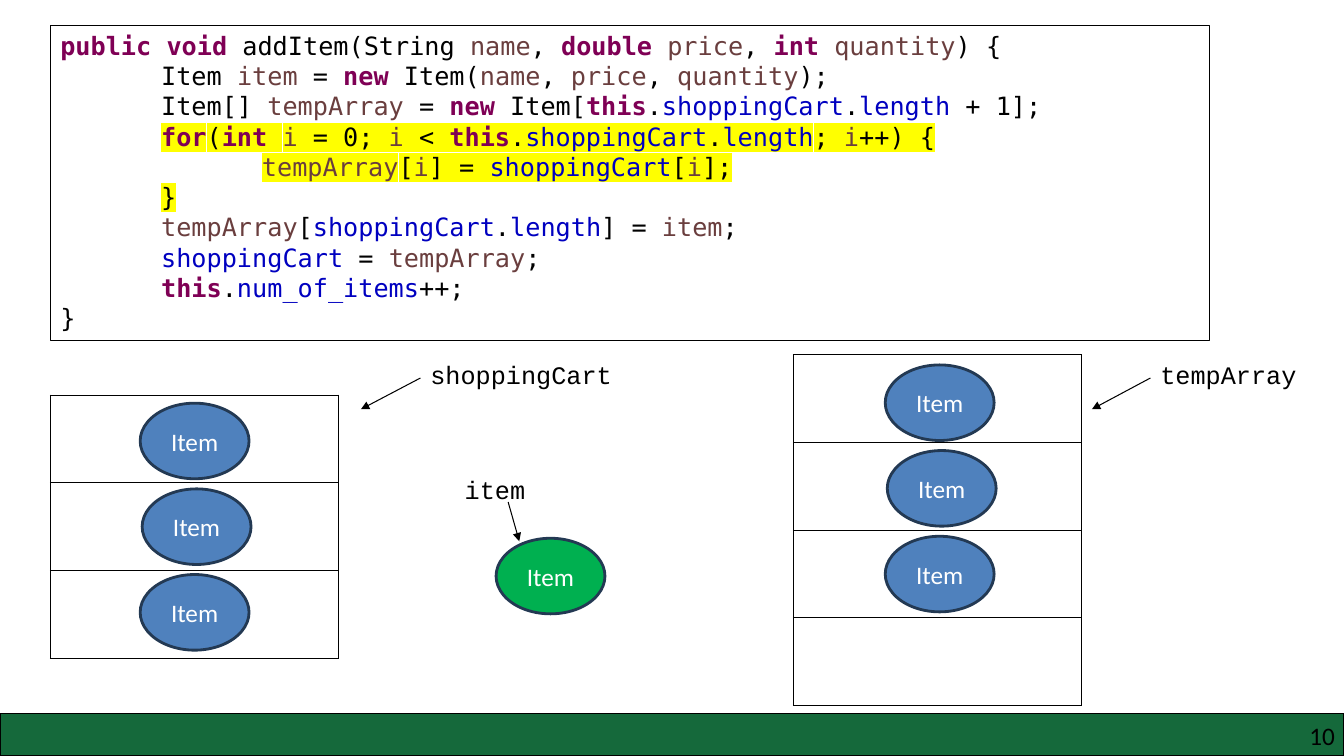
"""Build the slide on copying a shopping cart into a longer array."""
from itertools import groupby

from lxml import etree
from pptx import Presentation
from pptx import util as u
from pptx.dml.color import RGBColor
from pptx.enum import shapes, text
from pptx.oxml import ns

THEME = {
    "code_font": "DejaVu Sans Mono", "label_font": "Courier New", "body_font": "Calibri",
    "size": 18, "code_leading": 21.6, "thin": 0.75, "grid": 1, "outline": 2,
    "black": "000000", "white": "FFFFFF", "keyword": "7F0055", "local": "6A3E3E",
    "field": "0000C0", "highlight": "FFFF00", "bar": "15693B",
    "item": "4F81BD", "new_item": "00B050", "item_edge": "233953",
}
PX = 9144
SLIDE = (1333, 750)

CODE = [
    "public void addItem(String name, double price, int quantity) {",
    "\tItem item = new Item(name, price, quantity);",
    "\tItem[] tempArray = new Item[this.shoppingCart.length + 1];",
    "\tfor(int i = 0; i < this.shoppingCart.length; i++) {",
    "\t\ttempArray[i] = shoppingCart[i];",
    "\t}",
    "\ttempArray[shoppingCart.length] = item;",
    "\tshoppingCart = tempArray;",
    "\tthis.num_of_items++;",
    "}",
]
HIGHLIGHTED_LINES = range(3, 6)
WORD_ROLES = {
    "keyword": "public void double int new for this".split(),
    "local": "name price quantity item tempArray i".split(),
    "field": "shoppingCart length num_of_items".split(),
}
ROLE_OF = {word: role for role, words in WORD_ROLES.items() for word in words}
CODE_BOX = (50, 25, 1150, 313)
TAB_STOPS = (100, 200)

ARRAYS = [
    {"corner": (50, 392), "cells": 3, "first_item": (139, 400)},
    {"corner": (787, 352), "cells": 4, "first_item": (878, 362)},
]
CELL = (286, 87)
ITEM_SIZE = (108, 75)
ITEM_STEP = 85
ITEM_NUDGES = (0, 2, 0)
ITEM_TEXT = "Item"
NEW_ITEM = (492, 534)
LABELS = [
    ("shoppingCart", (417, 352, 201, 40), (417, 375, 358, 406)),
    ("item", (451, 466, 81, 40), (504, 498, 515, 537)),
    ("tempArray", (1141, 352, 156, 40), (1141, 375, 1083, 406)),
]
BAR = (0, 708, 1333, 42)
PAGE_NUMBER = ("10", (1017, 715, 307, 30))


def emu(lengths):
    return [length * PX for length in lengths]


def colour(name):
    return RGBColor.from_string(THEME[name])


def add_run(paragraph, words, font, role="black", bold=False):
    run = paragraph.add_run()
    run.text = words
    run.font.name = THEME[font]
    run.font.size = u.Pt(THEME["size"])
    run.font.bold = bold
    run.font.color.rgb = colour(role)
    return run


def set_line(line, role, width):
    line.color.rgb = colour(role)
    line.width = u.Pt(THEME[width])


def highlight(run):
    mark = etree.Element(ns.qn("a:highlight"))
    etree.SubElement(mark, ns.qn("a:srgbClr"), val=THEME["highlight"])
    run._r.find(".//" + ns.qn("a:solidFill")).addnext(mark)


def add_tab_stops(paragraph):
    stops = etree.SubElement(paragraph._p.get_or_add_pPr(), ns.qn("a:tabLst"))
    for position in emu(TAB_STOPS):
        etree.SubElement(stops, ns.qn("a:tab"), pos=str(position), algn="l")


def add_code(slide):
    box = slide.shapes.add_textbox(*emu(CODE_BOX))
    set_line(box.line, "black", "thin")
    frame = box.text_frame
    frame.word_wrap = True
    for number, line in enumerate(CODE):
        paragraph = frame.add_paragraph() if number else frame.paragraphs[0]
        paragraph.line_spacing = u.Pt(THEME["code_leading"])
        add_tab_stops(paragraph)
        for kind, letters in groupby(line, lambda c: (c == "\t", c.isalnum() or c == "_")):
            token = "".join(letters)
            role = ROLE_OF.get(token, "black")
            run = add_run(paragraph, token, "code_font", role, role == "keyword")
            if number in HIGHLIGHTED_LINES and not kind[0]:
                highlight(run)


def add_shape(slide, preset, place, fill, edge, width):
    shape = slide.shapes.add_shape(preset, *emu(place))
    shape.shadow.inherit = False
    shape.fill.solid()
    shape.fill.fore_color.rgb = colour(fill)
    set_line(shape.line, edge, width)
    return shape


def add_item(slide, corner, fill):
    oval = add_shape(slide, shapes.MSO_SHAPE.OVAL, (*corner, *ITEM_SIZE), fill, "item_edge", "outline")
    oval.text_frame.vertical_anchor = text.MSO_ANCHOR.MIDDLE
    paragraph = oval.text_frame.paragraphs[0]
    paragraph.alignment = text.PP_ALIGN.CENTER
    add_run(paragraph, ITEM_TEXT, "body_font", "white")


def add_borders(cell):
    properties = cell._tc.get_or_add_tcPr()
    for position, side in enumerate(("lnL", "lnR", "lnT", "lnB")):
        border = etree.Element(ns.qn("a:" + side), w=str(u.Pt(THEME["grid"])))
        fill = etree.SubElement(border, ns.qn("a:solidFill"))
        etree.SubElement(fill, ns.qn("a:srgbClr"), val=THEME["black"])
        properties.insert(position, border)


def add_array(slide, corner, cells, first_item):
    width, height = CELL
    place = emu((*corner, width, height * cells))
    table = slide.shapes.add_table(cells, 1, *place).table
    table.first_row = table.horz_banding = False
    for cell in table.iter_cells():
        cell.fill.solid()
        cell.fill.fore_color.rgb = colour("white")
        add_borders(cell)
    left, top = first_item
    for row, nudge in enumerate(ITEM_NUDGES):
        add_item(slide, (left + nudge, top + row * ITEM_STEP), "item")


def add_label(slide, words, place, ends):
    arrow = slide.shapes.add_connector(shapes.MSO_CONNECTOR.STRAIGHT, *emu(ends))
    set_line(arrow.line, "black", "thin")
    properties = arrow._element.spPr
    etree.SubElement(properties.find(ns.qn("a:ln")), ns.qn("a:tailEnd"), type="triangle")
    etree.SubElement(properties, ns.qn("a:effectLst"))
    frame = slide.shapes.add_textbox(*emu(place)).text_frame
    frame.word_wrap = False
    add_run(frame.paragraphs[0], words, "label_font")


def add_footer(slide):
    add_shape(slide, shapes.MSO_SHAPE.RECTANGLE, BAR, "bar", "black", "grid")
    number, place = PAGE_NUMBER
    frame = slide.shapes.add_textbox(*emu(place)).text_frame
    frame.word_wrap = True
    frame.margin_left = frame.margin_right = frame.margin_top = frame.margin_bottom = 0
    frame.paragraphs[0].alignment = text.PP_ALIGN.RIGHT
    add_run(frame.paragraphs[0], number, "body_font")


def main():
    deck = Presentation()
    deck.slide_width, deck.slide_height = emu(SLIDE)
    slide = deck.slides.add_slide(deck.slide_layouts[6])
    add_footer(slide)
    add_code(slide)
    for array in ARRAYS:
        add_array(slide, **array)
    add_item(slide, NEW_ITEM, "new_item")
    for label in LABELS:
        add_label(slide, *label)
    deck.save("out.pptx")


if __name__ == "__main__":
    main()
